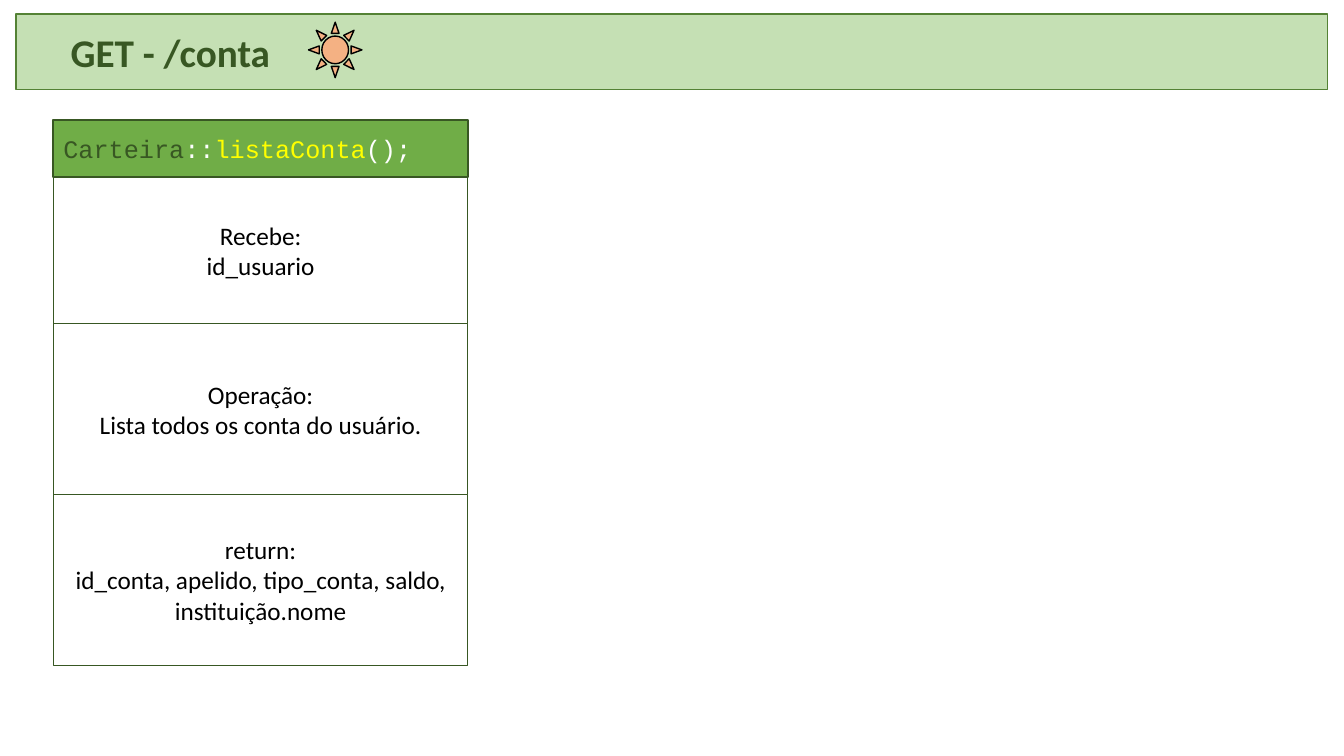
from dataclasses import dataclass

from pptx import Presentation
from pptx.dml.color import RGBColor
from pptx.enum.shapes import MSO_SHAPE
from pptx.enum.text import MSO_ANCHOR, PP_ALIGN
from pptx.util import Inches, Pt

RECTANGLE, SUN = MSO_SHAPE.RECTANGLE, MSO_SHAPE.SUN
MIDDLE = MSO_ANCHOR.MIDDLE
LEFT, CENTER = PP_ALIGN.LEFT, PP_ALIGN.CENTER


@dataclass(frozen=True)
class Theme:
    """Colours, fonts and type sizes of the slide."""
    dark_green: str = "385723"
    mid_green: str = "548235"
    green: str = "70AD47"
    pale_green: str = "C5E0B4"
    orange: str = "F4B183"
    yellow: str = "FFFF00"
    white: str = "FFFFFF"
    black: str = "000000"
    body_font: str = "Calibri"
    code_font: str = "Courier New"
    title_size: int = 28
    body_size: int = 18


THEME = Theme()


def add_block(slide, box, fill, line, line_width=1, preset=RECTANGLE):
    """Add a filled, outlined shape in a box given in inches."""
    block = slide.shapes.add_shape(preset, *map(Inches, box))
    block.shadow.inherit = False
    block.fill.solid()
    block.fill.fore_color.rgb = RGBColor.from_string(fill)
    block.line.color.rgb = RGBColor.from_string(line)
    block.line.width = Pt(line_width)
    return block


def write(block, paragraphs, font, size, align=LEFT, bold=False):
    """Fill a block with paragraphs made of (text, colour) runs."""
    frame = block.text_frame
    frame.word_wrap = True
    frame.vertical_anchor = MIDDLE
    for index, pieces in enumerate(paragraphs):
        paragraph = frame.paragraphs[0] if index == 0 else frame.add_paragraph()
        paragraph.alignment = align
        for text, color in pieces:
            run = paragraph.add_run()
            run.text = text
            run.font.name = font
            run.font.size = Pt(size)
            run.font.bold = bold
            run.font.color.rgb = RGBColor.from_string(color)


def add_banner(slide, box, title):
    """Add the endpoint banner with its sun."""
    left, top = box[:2]
    banner = add_block(slide, box, THEME.pale_green, THEME.mid_green)
    banner.text_frame.margin_left = Inches(0.54)
    write(banner, [[(title, THEME.dark_green)]], THEME.body_font, THEME.title_size, bold=True)
    add_block(slide, (left + 2.9, top + 0.08, 0.53, 0.55), THEME.orange, THEME.black, preset=SUN)


def add_method_card(slide, box, signature, sections):
    """Add a method signature with its sections stacked below."""
    left, top, width, height = box
    header_height = 0.565
    header = add_block(slide, (left, top, width, header_height), THEME.green, THEME.dark_green, 1.5)
    write(header, [signature], THEME.code_font, THEME.body_size)
    top += header_height
    unit = (height - header_height) / sum(share for share, _ in sections)
    for share, lines in sections:
        section = add_block(slide, (left, top, width, share * unit), THEME.white, THEME.dark_green)
        write(section, [[(line, THEME.black)] for line in lines],
              THEME.body_font, THEME.body_size, CENTER)
        top += share * unit


def main():
    """Build and save the slide."""
    deck = Presentation()
    deck.slide_width, deck.slide_height = Inches(13.33), Inches(7.5)
    slide = deck.slides.add_slide(deck.slide_layouts[6])
    add_banner(slide, (0.16, 0.14, 13.01, 0.75), "GET - /conta")
    signature = [("Carteira", THEME.dark_green), ("::", THEME.white),
                 ("listaConta", THEME.yellow), ("();", THEME.white)]
    sections = [
        (1.46, ["Recebe:", "id_usuario"]),
        (1.7, ["Operação:", "Lista todos os conta do usuário."]),
        (1.7, ["return:", "id_conta, apelido, tipo_conta, saldo, instituição.nome"]),
    ]
    add_method_card(slide, (0.53, 1.19, 4.11, 5.41), signature, sections)
    deck.save("out.pptx")


if __name__ == "__main__":
    main()
